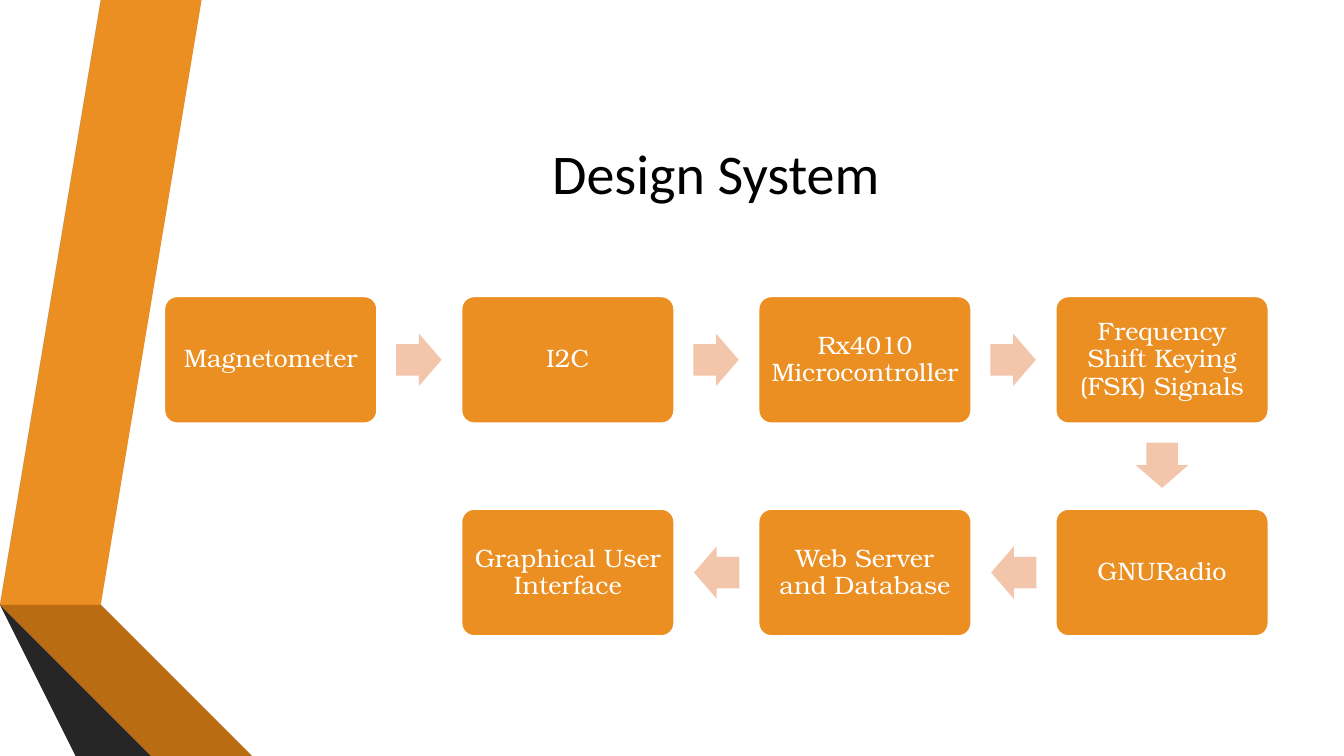
import pptx
import pptx.util
import pptx.dml.color
import pptx.enum.shapes
import pptx.enum.text

Inches, Pt = pptx.util.Inches, pptx.util.Pt
SHAPE = pptx.enum.shapes.MSO_SHAPE

ORANGE, PEACH, WHITE, BLACK = "EB8F22", "F3C6AC", "FFFFFF", "000000"
BOX_W, BOX_H = 2.11, 1.26
ARROW_W, ARROW_H, ARROW_GAP = 0.45, 0.52, 0.19
LEFT, TOP = 1.63, 2.94
PITCH_X, PITCH_Y = (10.47 - LEFT) / 3, 2.11

# Ribbon pieces on the left edge, back to front
RIBBONS = [
    (ORANGE, [(0.5, 5.78), (0.77, 5.83), (1.73, 0), (1.45, 0)]),
    ("595959", [(1.39, 0), (1.11, 0), (0.16, 5.73), (0.44, 5.77)]),
    ("262626", [(0.16, 5.73), (1.45, 7.5), (1.51, 7.5)]),
    ("7B480B", [(0.5, 5.79), (2.08, 7.5), (2.14, 7.5)]),
    ("B96C11", [(0.5, 5.78), (0.5, 5.79), (2.14, 7.5), (2.83, 7.5), (0.77, 5.83)]),
    ("404040", [(2.02, 7.5), (0.48, 5.83), (0.44, 5.77), (0.16, 5.73), (1.51, 7.5)]),
]

# Flow steps in order: label, column, row
STEPS = [
    ("Magnetometer", 0, 0),
    ("I2C", 1, 0),
    ("Rx4010 Microcontroller", 2, 0),
    ("Frequency Shift Keying (FSK) Signals", 3, 0),
    ("GNURadio", 3, 1),
    ("Web Server and Database", 2, 1),
    ("Graphical User Interface", 1, 1),
]


def rgb(color):
    return pptx.dml.color.RGBColor.from_string(color)


class FlowSlide:
    title_font = "Calibri"
    body_font = "TeX Gyre Bonum"

    def __init__(self, prs):
        self.slide = prs.slides.add_slide(prs.slide_layouts[6])
        self.shapes = self.slide.shapes

    def paint(self, sp, fill, line=None):
        sp.shadow.inherit = False
        sp.fill.solid()
        sp.fill.fore_color.rgb = rgb(fill)
        if line:
            sp.line.color.rgb = rgb(line)
            sp.line.width = Pt(1.25)
        else:
            sp.line.fill.background()

    def label(self, sp, text, font, size, color, spacing=1.0, inset=0.1):
        tf = sp.text_frame
        tf.word_wrap = True
        tf.vertical_anchor = pptx.enum.text.MSO_ANCHOR.MIDDLE
        tf.margin_left = tf.margin_right = Inches(inset)
        tf.margin_top = tf.margin_bottom = Inches(min(inset, 0.07))
        p = tf.paragraphs[0]
        p.alignment = pptx.enum.text.PP_ALIGN.CENTER
        p.line_spacing = spacing
        r = p.add_run()
        r.text = text
        r.font.name = font
        r.font.size = Pt(size)
        r.font.color.rgb = rgb(color)

    def ribbon(self, color, points):
        fb = self.shapes.build_freeform(*points[0], scale=Inches(1))
        fb.add_line_segments(points[1:], close=True)
        self.paint(fb.convert_to_shape(), color)

    def title(self, text):
        sp = self.shapes.add_textbox(Inches(1.62), Inches(0.75), Inches(10.96), Inches(1.92))
        self.label(sp, text, self.title_font, 40, BLACK)

    def step(self, text, col, row):
        sp = self.shapes.add_shape(
            SHAPE.ROUNDED_RECTANGLE,
            Inches(LEFT + col * PITCH_X), Inches(TOP + row * PITCH_Y),
            Inches(BOX_W), Inches(BOX_H))
        sp.adjustments[0] = 0.1
        self.paint(sp, ORANGE, WHITE)
        self.label(sp, text, self.body_font, 18, WHITE, spacing=0.9, inset=0.07)

    def arrow(self, col, row, dx, dy):
        """Arrow leaving the box at col, row in direction dx, dy."""
        reach = ARROW_GAP + ARROW_W / 2
        cx = LEFT + col * PITCH_X + BOX_W / 2 + dx * (BOX_W / 2 + reach)
        cy = TOP + row * PITCH_Y + BOX_H / 2 + dy * (BOX_H / 2 + reach)
        sp = self.shapes.add_shape(
            SHAPE.RIGHT_ARROW,
            Inches(cx - ARROW_W / 2), Inches(cy - ARROW_H / 2),
            Inches(ARROW_W), Inches(ARROW_H))
        sp.adjustments[0], sp.adjustments[1] = 0.6, 0.5
        sp.rotation = {(1, 0): 0, (0, 1): 90, (-1, 0): 180}[dx, dy]
        self.paint(sp, PEACH)


def main():
    prs = pptx.Presentation()
    prs.slide_width, prs.slide_height = Inches(13.33), Inches(7.5)
    s = FlowSlide(prs)

    # Side decoration and title
    for color, points in RIBBONS:
        s.ribbon(color, points)
    s.title("Design System")

    # Flow boxes, then the arrows between neighbours
    for text, col, row in STEPS:
        s.step(text, col, row)
    for (_, col, row), (_, next_col, next_row) in zip(STEPS, STEPS[1:]):
        s.arrow(col, row, next_col - col, next_row - row)

    prs.save("out.pptx")


if __name__ == "__main__":
    main()
